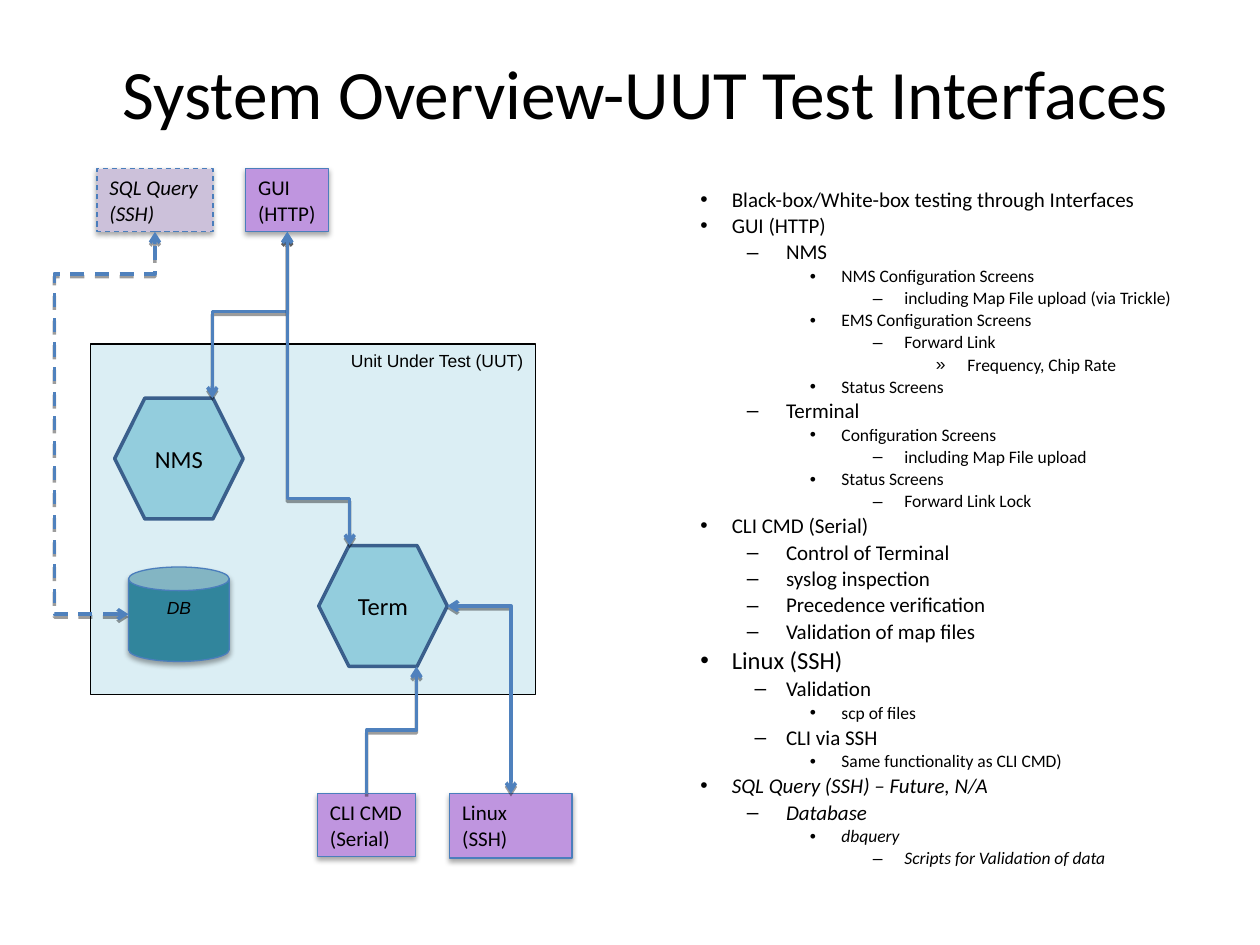
from collections import namedtuple

from pptx import Presentation
from pptx import util as u
from pptx.dml.color import RGBColor
from pptx.enum import dml, shapes, text
from pptx.oxml import ns
from lxml import etree

SLIDE_WIDTH, SLIDE_HEIGHT = u.Inches(10), u.Inches(7.5)
CELL = SLIDE_WIDTH / 100  # square grid: 100 columns by 75 rows
Box = namedtuple("Box", "left top width height")
BLACK, BLUE, LINK_BLUE = "000000", "4B7EBC", "4F81BD"

# Outline entries: level, size, wording
OUTLINE = [
    (0, 12, "Black-box/White-box testing through Interfaces"),
    (0, 12, "GUI (HTTP)"),
    (1, 12, "NMS"),
    (2, 10, "NMS Configuration Screens"),
    (3, 10, "including Map File upload (via Trickle)"),
    (2, 10, "EMS Configuration Screens"),
    (3, 10, "Forward Link"),
    (4, 10, "Frequency, Chip Rate"),
    (2, 10, "Status Screens"),
    (1, 12, "Terminal"),
    (2, 10, "Configuration Screens"),
    (3, 10, "including Map File upload"),
    (2, 10, "Status Screens"),
    (3, 10, "Forward Link Lock"),
    (0, 12, "CLI CMD (Serial)"),
    (1, 12, "Control of Terminal"),
    (1, 12, "syslog inspection"),
    (1, 12, "Precedence verification"),
    (1, 12, "Validation of map files"),
    (0, 14, "Linux (SSH)"),
    (1, 12, "Validation"),
    (2, 10, "scp of files"),
    (1, 12, "CLI via SSH"),
    (2, 10, "Same functionality as CLI CMD)"),
]
FUTURE_OUTLINE = [
    (0, 12, "SQL Query (SSH) – Future, N/A"),
    (1, 12, "Database"),
    (2, 10, "dbquery"),
    (3, 10, "Scripts for Validation of data"),
]
BULLETS = "•–•–»"
MARGINS = [0.38, 0.81, 1.25, 1.75, 2.25]
HANGS = [0.25, 0.31, 0.25, 0.25, 0.25]


def color(value):
    return RGBColor.from_string(value)


def cells(*values):
    return [round(value * CELL) for value in values]


def add_xml(parent, tag, **attributes):
    return etree.SubElement(parent, ns.qn(tag), attributes)


def style_font(paragraph, size, name="Calibri", italic=False):
    font = paragraph.font
    font.size, font.name, font.italic = u.Pt(size), name, italic
    font.color.rgb = color(BLACK)


def add_shadow(element, blur, distance, opacity):
    effects = element.spPr.find(ns.qn("a:effectLst"))
    if effects is None:
        effects = add_xml(element.spPr, "a:effectLst")
    shadow = add_xml(effects, "a:outerShdw", blurRad=str(u.Pt(blur)),
                     dist=str(u.Pt(distance)), dir="5400000", rotWithShape="0")
    add_xml(add_xml(shadow, "a:srgbClr", val=BLACK), "a:alpha", val=str(opacity * 1000))


def add_node(slide, kind, box, fill, line, lines, size=12, width=0.75, font="Calibri",
             align="LEFT", anchor="TOP", italic=False, dashed=False, shadow=True):
    shape = slide.shapes.add_shape(shapes.MSO_SHAPE[kind], *cells(*box))
    shape.shadow.inherit = False
    shape.fill.solid()
    shape.fill.fore_color.rgb = color(fill)
    shape.line.color.rgb = color(line)
    shape.line.width = u.Pt(width)
    if dashed:
        shape.line.dash_style = dml.MSO_LINE.DASH
    if shadow:
        add_shadow(shape._element, 3.1, 1.8, 35)
    frame = shape.text_frame
    frame.word_wrap = True
    frame.vertical_anchor = text.MSO_ANCHOR[anchor]
    frame.text = "\n".join(lines)
    for paragraph in frame.paragraphs:
        paragraph.alignment = text.PP_ALIGN[align]
        style_font(paragraph, size, font, italic)
    return shape


def add_interface(slide, box, lines, fill="BF95DF", wrap=False, **options):
    shape = add_node(slide, "RECTANGLE", box, fill, BLUE, lines, **options)
    shape.text_frame.word_wrap = wrap
    shape.text_frame.auto_size = text.MSO_AUTO_SIZE.SHAPE_TO_FIT_TEXT


def add_link(slide, start, end, preset, adjustments=(), vertical=True, both=True, dashed=False):
    """Bent connector; a vertical one leaves its start upwards or downwards."""
    (x1, y1), (x2, y2) = start, end
    turn = 0
    if vertical:
        # Lay the connector on its side around its centre, then rotate it
        middle_x, middle_y = (x1 + x2) / 2, (y1 + y2) / 2
        half_width, half_height = abs(y2 - y1) / 2, abs(x2 - x1) / 2
        down, leftward = y2 > y1, x2 < x1
        turn = 90 if down and leftward else 270
        if turn == 270 and down:
            half_width = -half_width
        if turn == 270 and leftward:
            half_height = -half_height
        x1, x2 = middle_x - half_width, middle_x + half_width
        y1, y2 = middle_y - half_height, middle_y + half_height
    link = slide.shapes.add_connector(shapes.MSO_CONNECTOR.ELBOW, *cells(x1, y1, x2, y2))
    properties = link._element.spPr
    if turn:
        properties.find(ns.qn("a:xfrm")).set("rot", str(turn * 60000))
    geometry = properties.find(ns.qn("a:prstGeom"))
    geometry.set("prst", preset)
    guides = geometry.find(ns.qn("a:avLst"))
    for number, share in enumerate(adjustments, 1):
        add_xml(guides, "a:gd", name=f"adj{number}", fmla=f"val {round(share * 100000)}")
    link.line.color.rgb = color(LINK_BLUE)
    link.line.width = u.Pt(2)
    if dashed:
        link.line.dash_style = dml.MSO_LINE.DASH
    line = properties.find(ns.qn("a:ln"))
    add_xml(line, "a:headEnd", type="arrow")
    if both:
        add_xml(line, "a:tailEnd", type="arrow")
    add_shadow(link._element, 0, 1.6, 38)


def add_title(slide, box, wording):
    frame = slide.shapes.add_textbox(*cells(*box)).text_frame
    frame.word_wrap = True
    frame.vertical_anchor = text.MSO_ANCHOR.MIDDLE
    frame.text = wording
    frame.paragraphs[0].alignment = text.PP_ALIGN.CENTER
    style_font(frame.paragraphs[0], 39.6)


def add_outline(slide, box):
    frame = slide.shapes.add_textbox(*cells(*box)).text_frame
    frame.word_wrap = True
    entries = OUTLINE + FUTURE_OUTLINE
    frame.text = "\n".join(wording for _, _, wording in entries)
    for index, (paragraph, (level, size, _)) in enumerate(zip(frame.paragraphs, entries)):
        hang = 0.25 if entries[index - 1][2] == "Linux (SSH)" or "via SSH" in entries[index][2] else HANGS[level]
        properties = paragraph._p.get_or_add_pPr()
        properties.set("marL", str(u.Inches(MARGINS[level])))
        properties.set("indent", str(-u.Inches(hang)))
        add_xml(properties, "a:buFont", typeface="Arial")
        add_xml(properties, "a:buChar", char=BULLETS[level])
        paragraph.level = level
        paragraph.line_spacing = 0.9
        if index:
            paragraph.space_before = u.Pt(size * 0.18)
        style_font(paragraph, size, italic=index >= len(OUTLINE))


def add_diagram(slide, box):
    def place(left, top, width, height):
        return Box(box.left + left, box.top + top, width, height)

    def site(node, across, down):
        return node.left + across * node.width, node.top + down * node.height

    gui, sql = place(15.5, 0.4, 6.6, 5), place(3.7, 0.4, 9.2, 5)
    cli, linux = place(21.2, 50, 7.8, 5), place(31.7, 50, 9.7, 5.1)
    unit, database = place(3.2, 14.3, 35.3, 27.8), place(6.2, 32, 8, 7.5)
    nms, term = place(5.1, 18.6, 10.2, 9.6), place(21.3, 30.3, 10.2, 9.6)

    # Test interfaces
    add_interface(slide, gui, ["GUI", "(HTTP)"])
    add_interface(slide, sql, ["SQL Query", "(SSH)"], fill="CCC1DA", italic=True, dashed=True)
    add_interface(slide, cli, ["CLI CMD", "(Serial)"])
    add_interface(slide, linux, ["Linux", "(SSH)"], wrap=True)

    # Unit under test and its parts
    add_node(slide, "RECTANGLE", unit, "DBEEF4", BLACK, ["Unit Under Test (UUT)"],
             size=10, font="Arial", align="RIGHT", shadow=False)
    add_node(slide, "CAN", database, "31859C", BLUE, ["DB"],
             size=10, font="Arial", align="CENTER", italic=True)
    for node, name in ((nms, "NMS"), (term, "Term")):
        add_node(slide, "HEXAGON", node, "93CDDD", "3A5F8C", [name], size=14, width=2,
                 align="CENTER", anchor="MIDDLE", shadow=False)

    # Links between interfaces and parts
    add_link(slide, site(database, 0, 0.5), site(sql, 0.5, 1), "bentConnector4",
             (-2.81, 0.89), vertical=False, dashed=True)
    add_link(slide, site(term, 0.76, 1), site(cli, 0.5, 0), "bentConnector3", (0.5,), both=False)
    add_link(slide, site(linux, 0.5, 0), site(term, 1, 0.5), "bentConnector2")
    add_link(slide, site(gui, 0.5, 1), site(nms, 0.76, 0), "bentConnector3", (0.48,))
    add_link(slide, site(gui, 0.5, 1), site(term, 0.24, 0), "bentConnector3", (0.85,))


def main():
    presentation = Presentation()
    presentation.slide_width, presentation.slide_height = SLIDE_WIDTH, SLIDE_HEIGHT
    slide = presentation.slides.add_slide(presentation.slide_layouts[6])
    add_title(slide, Box(7.5, 3.9, 87.5, 6.7), "System Overview-UUT Test Interfaces")
    add_outline(slide, Box(53.3, 14.5, 44.2, 56.1))
    add_diagram(slide, Box(4, 13, 42, 56))
    presentation.save("out.pptx")


if __name__ == "__main__":
    main()
